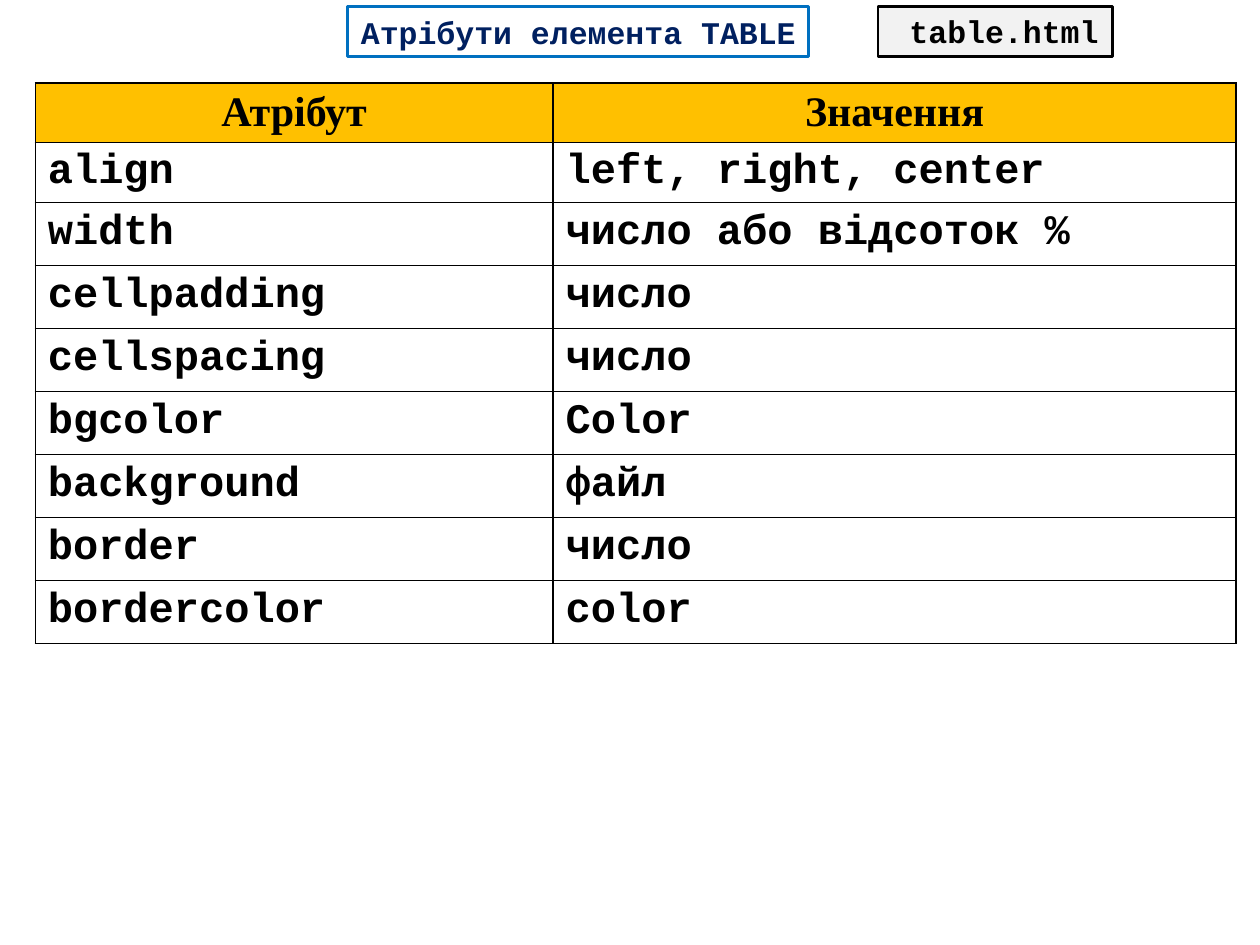
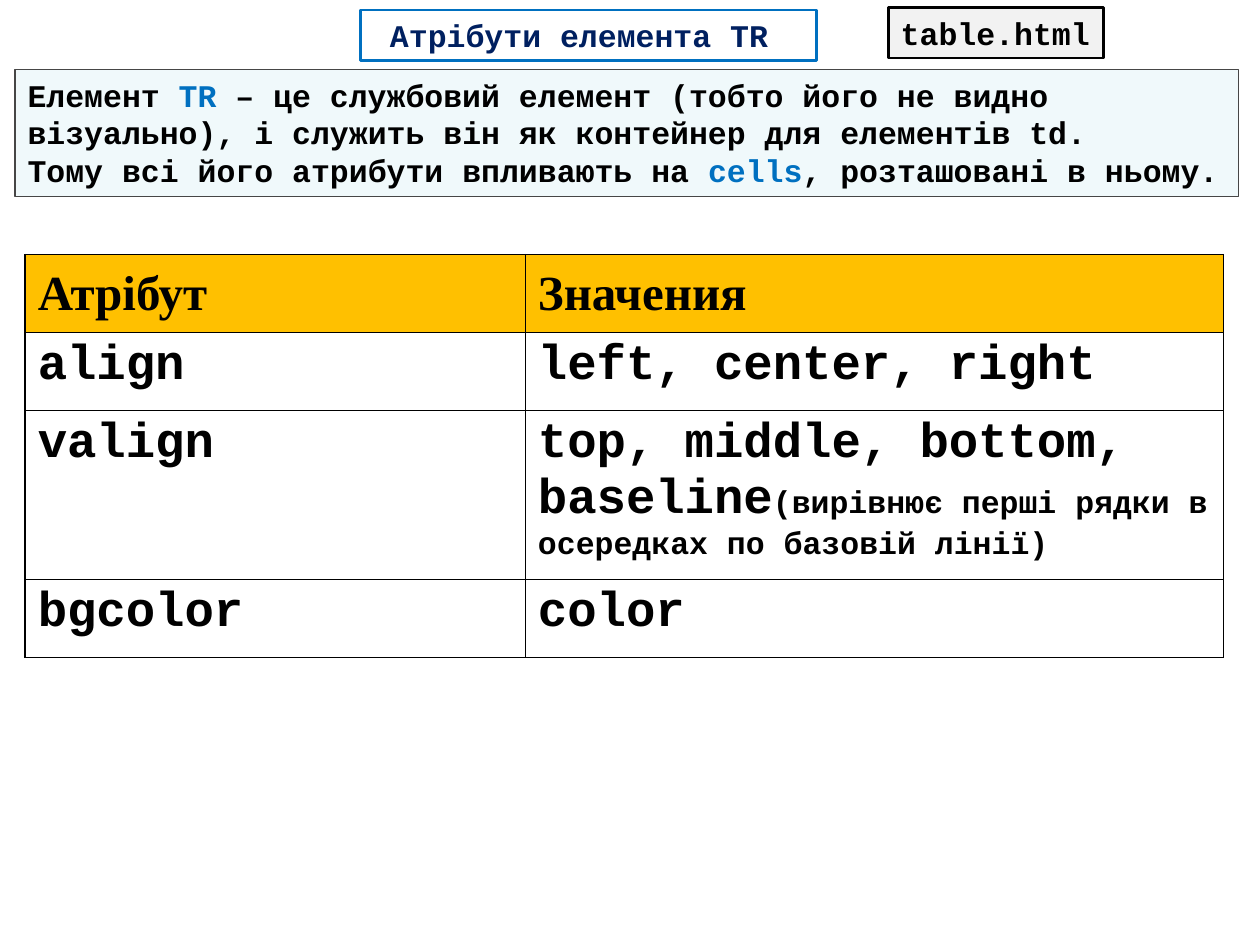
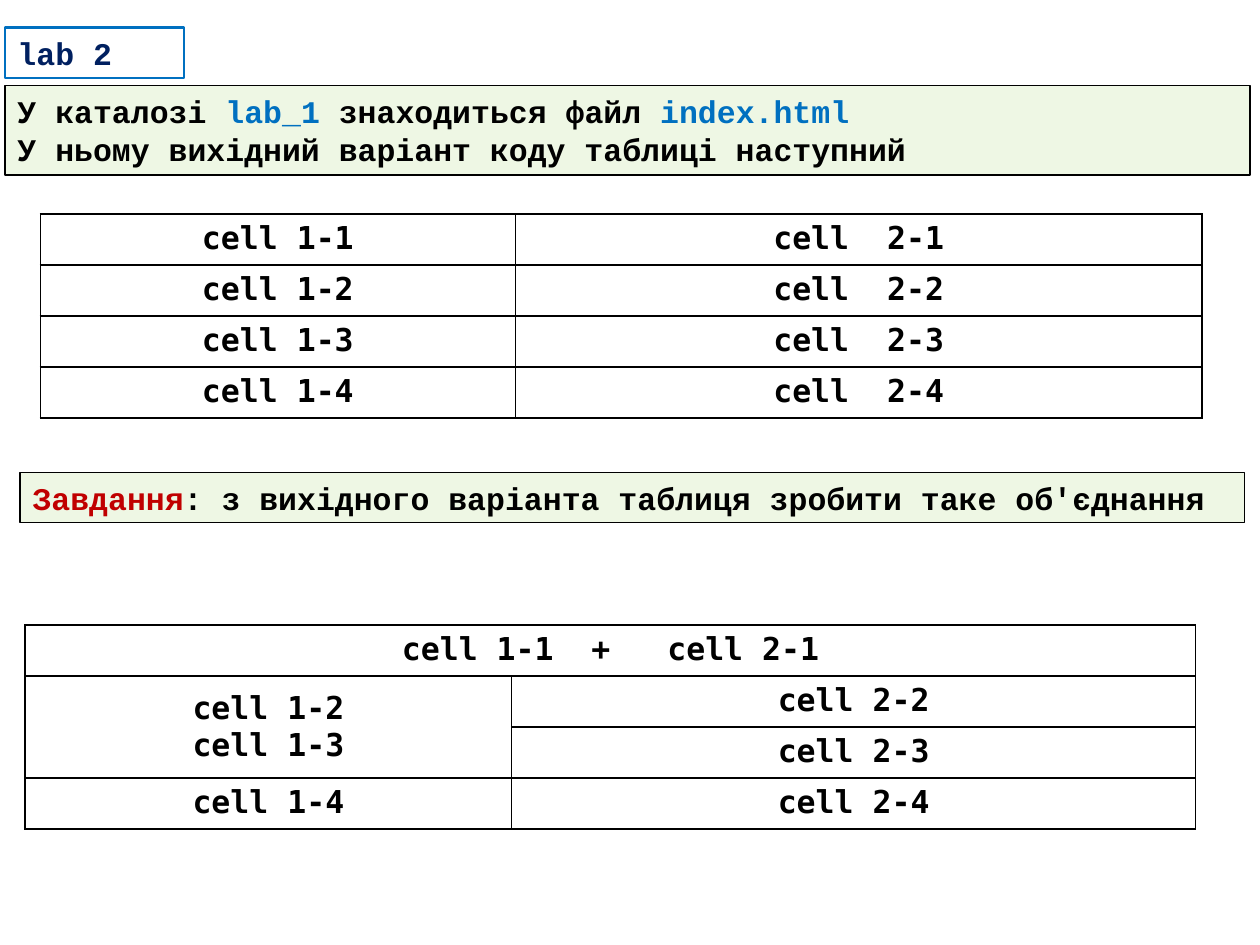
"""Build three slides on HTML table attributes and a cell merging exercise."""
from lxml import etree
from pptx import Presentation
from pptx.dml.color import RGBColor
from pptx.enum.text import MSO_ANCHOR, PP_ALIGN
from pptx.oxml.ns import qn
from pptx.util import Inches, Pt

LEFT, CENTER = PP_ALIGN.LEFT, PP_ALIGN.CENTER
TOP, MIDDLE = MSO_ANCHOR.TOP, MSO_ANCHOR.MIDDLE

BLACK = RGBColor(0x00, 0x00, 0x00)
WHITE = RGBColor(0xFF, 0xFF, 0xFF)
GRAY = RGBColor(0x46, 0x46, 0x46)
PALE_GRAY = RGBColor(0xF2, 0xF2, 0xF2)
BLUE = RGBColor(0x00, 0x70, 0xC0)
NAVY = RGBColor(0x00, 0x20, 0x60)
RED = RGBColor(0xC0, 0x00, 0x00)
GOLD = RGBColor(0xFF, 0xC0, 0x00)
AQUA = RGBColor(0xA6, 0xDD, 0xEA)
GREEN = RGBColor(0x92, 0xD0, 0x50)

CODE_FONT = "Courier New"
HEADER_FONT = "Times New Roman"
CELL_FONT = "DejaVu Sans Mono"

TITLE = {"line": BLUE, "anchor": MIDDLE}
FILE_TAG = {"fill": PALE_GRAY, "wrap": False}
GREEN_NOTE = {"fill": GREEN, "opacity": 15, "weight": 0.75}


def add_box(slide, place, lines, fill=None, opacity=100, line=BLACK, weight=1.5,
            anchor=TOP, align=LEFT, wrap=True):
    box = slide.shapes.add_textbox(*map(Inches, place))
    box.line.color.rgb = line
    box.line.width = Pt(weight)
    if fill is not None:
        box.fill.solid()
        box.fill.fore_color.rgb = fill
        if opacity < 100:
            color = box.fill._xPr.find(qn("a:solidFill"))[0]
            etree.SubElement(color, qn("a:alpha"), val=str(opacity * 1000))
    frame = box.text_frame
    frame.word_wrap = wrap
    frame.vertical_anchor = anchor
    frame.text = "\n" * (len(lines) - 1)
    for paragraph, pieces in zip(frame.paragraphs, lines):
        paragraph.alignment = align
        for text, color in pieces:
            run = paragraph.add_run()
            run.text = text
            run.font.name = CODE_FONT
            run.font.size = Pt(18)
            run.font.bold = True
            run.font.color.rgb = color


def add_grid(slide, left, top, widths, heights, rows, size, font=CODE_FONT,
             align=LEFT, header_align=None):
    frame = slide.shapes.add_table(len(rows), len(widths), Inches(left), Inches(top),
                                   Inches(sum(widths)), Inches(sum(heights)))
    table = frame.table
    table.first_row = table.horz_banding = False
    for column, width in zip(table.columns, widths):
        column.width = Inches(width)
    for row, height in zip(table.rows, heights):
        row.height = Inches(height)
    for row_index, texts in enumerate(rows):
        is_header = header_align is not None and row_index == 0
        for cell, text in zip(table.rows[row_index].cells, texts):
            properties = cell._tc.get_or_add_tcPr()
            for side in ("a:lnL", "a:lnR", "a:lnT", "a:lnB"):
                border = etree.SubElement(properties, qn(side), w=str(Pt(1)))
                paint = etree.SubElement(border, qn("a:solidFill"))
                etree.SubElement(paint, qn("a:srgbClr"), val=str(BLACK))
            if is_header:
                cell.fill.solid()
                cell.fill.fore_color.rgb = GOLD
                cell.vertical_anchor = MIDDLE
            else:
                cell.fill.background()
            cell.text_frame.text = text
            for paragraph in cell.text_frame.paragraphs:
                paragraph.alignment = header_align if is_header else align
                for run in paragraph.runs:
                    run.font.name = HEADER_FONT if is_header else font
                    run.font.size = Pt(size)
                    run.font.bold = True
                    run.font.color.rgb = BLACK
    return table


deck = Presentation()
deck.slide_width = Inches(10)
deck.slide_height = Inches(7.5)
table_slide, row_slide, lab_slide = [
    deck.slides.add_slide(deck.slide_layouts[6]) for _ in range(3)]
for slide in deck.slides:
    slide.background.fill.solid()
    slide.background.fill.fore_color.rgb = WHITE

table_attributes = [
    ("Атрібут", "Значення"),
    ("align", "left, right, center"),
    ("width", "число або відсоток %"),
    ("cellpadding", "число"),
    ("cellspacing", "число"),
    ("bgcolor", "Color"),
    ("background", "файл"),
    ("border", "число"),
    ("bordercolor", "color"),
]
add_grid(table_slide, 0.28, 0.66, [4.11, 5.42], [0.47] * 2 + [0.5] * 7,
         table_attributes, 24, header_align=CENTER)
add_box(table_slide, (6.97, 0.05, 1.86, 0.4), [[(" table.html", BLACK)]], **FILE_TAG)
add_box(table_slide, (2.76, 0.05, 3.66, 0.4),
        [[("Атрібути елемента TABLE", NAVY)]], align=CENTER, **TITLE)

add_box(row_slide, (7.05, 0.06, 1.71, 0.4), [[("table.html", BLACK)]], **FILE_TAG)
add_box(row_slide, (2.86, 0.08, 3.62, 0.4),
        [[("Атрібути елемента TR ", NAVY)]], align=CENTER, **TITLE)
row_attributes = [
    ("Атрібут", "Значения"),
    ("align", "left, center, right"),
    ("valign", "top, middle, bottom, baseline"),
    ("bgcolor", "color"),
]
row_table = add_grid(row_slide, 0.2, 2.02, [3.97, 5.54], [0.62, 0.62, 1.34, 0.62],
                     row_attributes, 28, header_align=LEFT)
baseline_note = row_table.cell(2, 1).text_frame.paragraphs[0].add_run()
baseline_note.text = "(вирівнює перші рядки в осередках по базовій лінії)"
baseline_note.font.name = CODE_FONT
baseline_note.font.size = Pt(18)
baseline_note.font.bold = True
baseline_note.font.color.rgb = BLACK
add_box(row_slide, (0.12, 0.55, 9.71, 1.01), [
    [("Елемент ", BLACK), ("TR", BLUE),
     (" – це службовий елемент (тобто його не видно візуально), "
      "і служить він як контейнер для елементів td.", BLACK)],
    [("Тому всі його атрибути впливають на ", BLACK), ("cells", BLUE),
     (", розташовані в ньому.", BLACK)],
], fill=AQUA, opacity=16, line=GRAY, weight=0.75)

add_box(lab_slide, (0.04, 0.22, 1.42, 0.4), [[("lab 2", NAVY)]], **TITLE)
add_box(lab_slide, (0.04, 0.68, 9.88, 0.71), [
    [("У каталозі ", BLACK), ("lab_1 ", BLUE), ("знаходиться файл ", BLACK),
     ("index.html", BLUE)],
    [("У ньому вихідний варіант коду таблиці наступний", BLACK)],
], **GREEN_NOTE)
merged_cells = [
    ("cell 1-1  +   cell 2-1", ""),
    ("cell 1-2\ncell 1-3", "cell 2-2"),
    ("", "cell 2-3"),
    ("cell 1-4", "cell 2-4"),
]
merged_table = add_grid(lab_slide, 0.2, 4.96, [3.86, 5.43], [0.405] * 4,
                        merged_cells, 18, CELL_FONT, CENTER)
merged_table.cell(0, 0).merge(merged_table.cell(0, 1))
merged_table.cell(1, 0).merge(merged_table.cell(2, 0))
merged_table.cell(1, 0).vertical_anchor = MIDDLE
initial_cells = [(f"cell 1-{number}", f"cell  2-{number}") for number in range(1, 5)]
add_grid(lab_slide, 0.32, 1.7, [3.77, 5.45], [0.405] * 4,
         initial_cells, 18, CELL_FONT, CENTER)
add_box(lab_slide, (0.16, 3.75, 9.72, 0.4), [
    [("Завдання", RED),
     (": з вихідного варіанта таблиця зробити таке об'єднання", BLACK)],
], **GREEN_NOTE)

deck.save("out.pptx")
